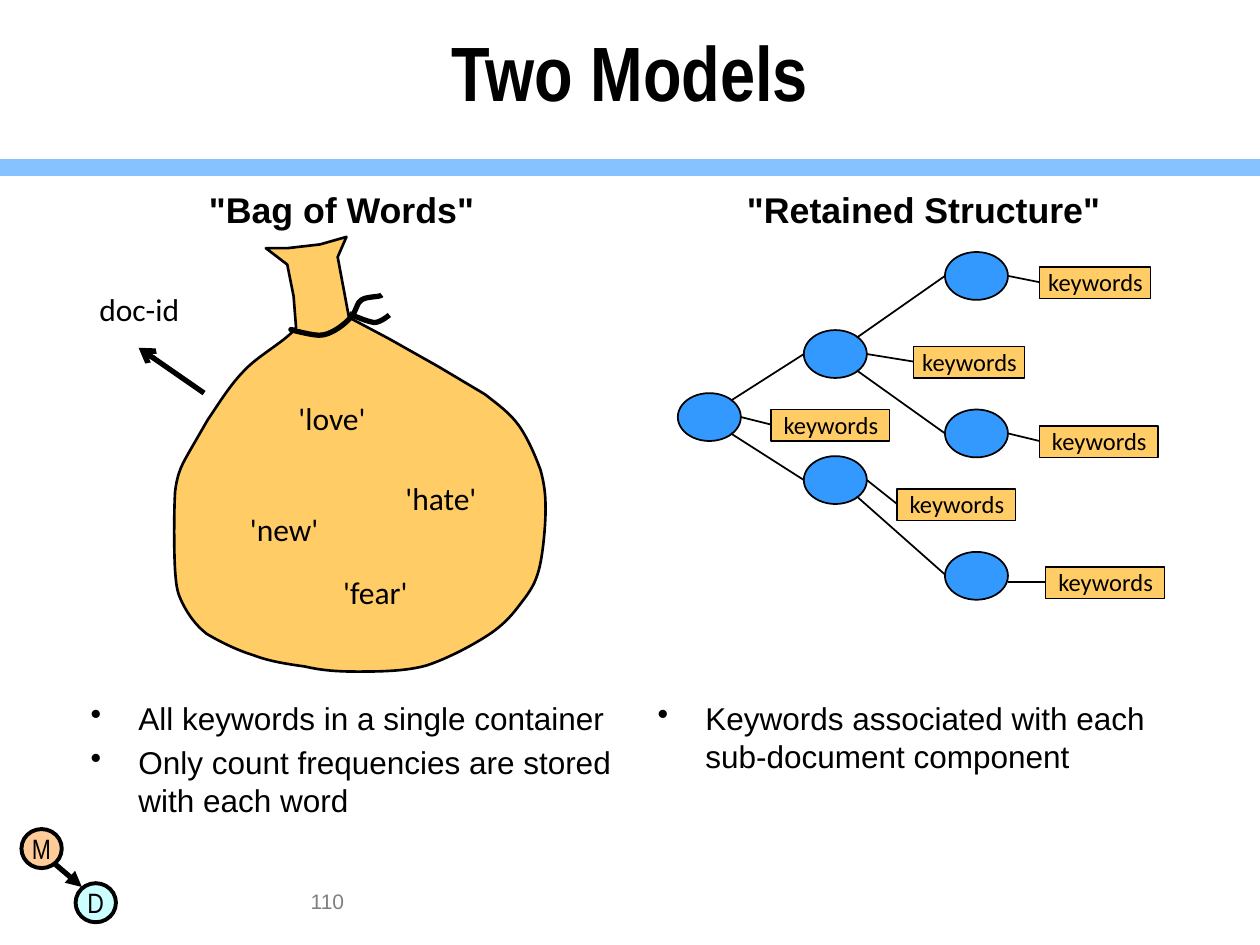
import dataclasses
import typing

import pptx
import pptx.dml.color
import pptx.enum.shapes
import pptx.enum.text
import pptx.oxml.ns
import pptx.util
from lxml import etree

ALIGN = pptx.enum.text.PP_ALIGN
ANCHOR = pptx.enum.text.MSO_ANCHOR
SHAPE = pptx.enum.shapes.MSO_SHAPE
Box = typing.Tuple[float, float, float, float]
Point = typing.Tuple[float, float]


@dataclasses.dataclass(frozen=True)
class Theme:
    ink: str = "000000"
    band: str = "85C2FF"
    node: str = "3399FF"
    bag: str = "FFCC66"
    model: str = "FFCC99"
    data: str = "CCFFFF"
    muted: str = "808080"
    title: float = 44
    heading: float = 20.4
    body: float = 18
    badge: float = 16
    tag: float = 14
    number: float = 12
    sans: str = "Arial"
    narrow: str = "Arial Narrow"
    label: str = "Calibri"


class Tag(typing.NamedTuple):
    left: float
    top: float
    width: float
    node_side: Point


class Word(typing.NamedTuple):
    text: str
    box: Box


THEME = Theme()
NODE_SIZE = (0.5, 0.38)
NODES = [(5.38, 3.12), (7.5, 2), (6.38, 2.62), (6.38, 3.62), (7.5, 3.25), (7.5, 4.38)]
BRANCHES = [
    ((5.8, 3.18), (6.38, 2.81)), ((5.8, 3.44), (6.38, 3.81)), ((6.8, 2.68), (7.5, 2.19)),
    ((6.8, 3.94), (7.5, 4.56)), ((6.8, 2.94), (7.5, 3.44)),
]
TAGS = [
    Tag(8.25, 2.12, 0.88, (8, 2.19)), Tag(8.25, 3.38, 0.94, (8, 3.44)),
    Tag(7.25, 2.75, 0.88, (6.88, 2.81)), Tag(6.12, 3.25, 0.94, (5.88, 3.31)),
    Tag(7.12, 3.88, 0.94, (6.88, 3.81)), Tag(8.3, 4.5, 0.94, (8, 4.62)),
]
WORDS = [
    Word("'love'", (2.19, 3.12, 0.89, 0.51)), Word("'hate'", (3.05, 3.75, 0.9, 0.51)),
    Word("'new'", (1.82, 4, 0.87, 0.51)), Word("'fear'", (2.56, 4.5, 0.84, 0.51)),
    Word("doc-id", (0.59, 2.25, 1.03, 0.51)),
]
BAG = [
    (2.28, 2.1), (2.33, 2.35), (2.35, 2.6), (2.28, 2.7, 2.05, 2.82, 1.94, 2.94),
    (1.82, 3.06, 1.72, 3.23, 1.65, 3.33), (1.5, 3.59), (1.45, 3.68, 1.41, 3.74, 1.39, 3.9),
    (1.38, 4.06, 1.38, 4.38, 1.39, 4.53), (1.4, 4.67, 1.41, 4.71, 1.45, 4.79),
    (1.49, 4.87, 1.55, 4.96, 1.64, 5.03), (1.74, 5.09, 1.88, 5.16, 2.01, 5.2),
    (2.14, 5.25, 2.28, 5.27, 2.42, 5.29), (2.55, 5.32, 2.67, 5.33, 2.83, 5.33),
    (2.99, 5.33, 3.22, 5.33, 3.39, 5.28), (3.57, 5.22, 3.77, 5.11, 3.89, 5.03),
    (4.02, 4.94, 4.08, 4.86, 4.14, 4.78), (4.21, 4.69, 4.25, 4.63, 4.28, 4.51),
    (4.31, 4.39, 4.33, 4.17, 4.33, 4.04), (4.33, 3.92, 4.32, 3.84, 4.29, 3.73),
    (4.25, 3.62, 4.19, 3.48, 4.12, 3.38), (4.04, 3.27, 3.95, 3.21, 3.85, 3.13),
    (3.48, 2.91), (3.09, 2.69), (2.77, 2.52), (2.68, 2.04), (2.75, 1.88), (2.54, 1.94),
    (2.28, 1.97), (2.11, 1.97), (2.28, 2.1),
]
STRING = [
    (2.33, 2.62), (2.33, 2.62, 2.29, 2.61, 2.32, 2.62), (2.36, 2.63, 2.48, 2.66, 2.53, 2.66),
    (2.59, 2.66, 2.62, 2.64, 2.66, 2.62), (2.71, 2.59, 2.76, 2.55, 2.79, 2.51),
    (2.83, 2.47, 2.83, 2.4, 2.87, 2.38), (2.91, 2.35, 3.02, 2.36, 3.03, 2.34),
]
STRING_END = [(2.77, 2.49), (2.84, 2.52, 2.91, 2.55, 2.97, 2.56), (3.02, 2.56, 3.09, 2.5, 3.09, 2.5)]


def length(inches: float) -> pptx.util.Length:
    """Turn slide inches into a metric length."""
    return pptx.util.Cm(inches * 2.54)


def colour(code: str) -> pptx.dml.color.RGBColor:
    """Read a hexadecimal colour."""
    return pptx.dml.color.RGBColor.from_string(code)


def paint(shape, fill: typing.Optional[str], width: float) -> None:
    """Set fill and outline, without a shadow."""
    shape.shadow.inherit = False
    if fill:
        shape.fill.solid()
        shape.fill.fore_color.rgb = colour(fill)
    else:
        shape.fill.background()
    shape.line.color.rgb = colour(THEME.ink)
    shape.line.width = pptx.util.Pt(width)


def write(shape, *texts: str, size: float, font: str, color: str = THEME.ink, bold: bool = False,
          align=ALIGN.CENTER, anchor=ANCHOR.TOP, wrap: bool = True, bullet: bool = False,
          insets: typing.Optional[Box] = None) -> None:
    """Write one paragraph per text into a shape."""
    frame = shape.text_frame
    frame.word_wrap = wrap
    frame.vertical_anchor = anchor
    if insets:
        frame.margin_left, frame.margin_top, frame.margin_right, frame.margin_bottom = map(length, insets)
    for index, text in enumerate(texts):
        para = frame.add_paragraph() if index else frame.paragraphs[0]
        para.alignment = align
        if index:
            para.space_before = pptx.util.Pt(size * 0.2)
        if bullet:
            properties = para._p.get_or_add_pPr()
            properties.set("marL", str(length(0.38)))
            properties.set("indent", str(-length(0.38)))
            etree.SubElement(properties, pptx.oxml.ns.qn("a:buChar")).set("char", "•")
        span = para.add_run()
        span.text = text
        span.font.size = pptx.util.Pt(size)
        span.font.name = font
        span.font.bold = bold
        span.font.color.rgb = colour(color)


def add_text(page, box: Box, *texts: str, **style) -> None:
    """Add a text box."""
    write(page.shapes.add_textbox(*map(length, box)), *texts, **style)


def add_preset(page, kind, box: Box, fill: str, width: float):
    """Add a painted preset shape."""
    shape = page.shapes.add_shape(kind, *map(length, box))
    paint(shape, fill, width)
    return shape


def add_line(page, start: Point, end: Point, width: float = 1, color: str = THEME.ink, head: str = "") -> None:
    """Add a straight connector, with an arrowhead at its end if named."""
    line = page.shapes.add_connector(pptx.enum.shapes.MSO_CONNECTOR.STRAIGHT, *map(length, start + end))
    line.line.color.rgb = colour(color)
    line.line.width = pptx.util.Pt(width)
    if head:
        etree.SubElement(line.line._get_or_add_ln(), pptx.oxml.ns.qn("a:tailEnd")).set("type", head)
    etree.SubElement(line._element.spPr, pptx.oxml.ns.qn("a:effectLst"))


def add_outline(page, steps, width: float, fill: typing.Optional[str] = None) -> None:
    """Draw a freeform of corners and cubic curves, closed when it is filled."""
    points = [tuple(map(length, step[at:at + 2])) for step in steps for at in range(0, len(step), 2)]
    builder = page.shapes.build_freeform(*points[0])
    builder.add_line_segments(points[1:], close=bool(fill))
    shape = builder.convert_to_shape()
    segments = iter(list(shape._element.iter(pptx.oxml.ns.qn("a:lnTo"))))
    for step in steps[1:]:
        segment = next(segments)
        if len(step) == 6:
            curve = etree.Element(pptx.oxml.ns.qn("a:cubicBezTo"))
            segment.addprevious(curve)
            for part in (segment, next(segments), next(segments)):
                curve.append(part[0])
                part.getparent().remove(part)
    paint(shape, fill, width)


def main() -> None:
    """Build the slide and save it."""
    deck = pptx.Presentation()
    deck.slide_width, deck.slide_height = length(10), length(7.5)
    page = deck.slides.add_slide(deck.slide_layouts[6])
    add_line(page, (0, 1.33), (10, 1.33), 10, THEME.band)
    for letter, left, top, fill in (("M", 0.17, 6.58, THEME.model), ("D", 0.6, 7.01, THEME.data)):
        badge = add_preset(page, SHAPE.OVAL, (left, top, 0.32, 0.31), fill, 2.25)
        write(badge, letter, size=THEME.badge, font=THEME.narrow, anchor=ANCHOR.MIDDLE, wrap=False)
    add_line(page, (0.44, 6.86), (0.65, 7.04), 3, head="triangle")
    add_text(page, (0.5, 0, 9, 1.12), "Two Models", size=THEME.title, font=THEME.narrow, bold=True,
             anchor=ANCHOR.MIDDLE)
    for left, heading in ((0.5, '"Bag of Words"'), (5.12, '"Retained Structure"')):
        add_text(page, (left, 1.5, 4.42, 0.38), heading, size=THEME.heading, font=THEME.sans, bold=True,
                 anchor=ANCHOR.BOTTOM)
    points = {"size": THEME.body, "font": THEME.sans, "align": ALIGN.LEFT, "bullet": True}
    add_text(page, (0.62, 5.5, 4.42, 1.88), "All keywords in a single container",
             "Only count frequencies are stored with each word", **points)
    add_text(page, (5.12, 5.5, 4.42, 0.95), "Keywords associated with each sub-document component", **points)
    add_text(page, (0.5, 6.95, 2.33, 0.4), "110", size=THEME.number, font=THEME.sans, color=THEME.muted,
             align=ALIGN.RIGHT, anchor=ANCHOR.MIDDLE)
    add_outline(page, BAG, 1.5, THEME.bag)
    for word in WORDS:
        add_text(page, word.box, word.text, size=THEME.body, font=THEME.label, wrap=False)
    for node in NODES:
        add_preset(page, SHAPE.OVAL, node + NODE_SIZE, THEME.node, 1)
    for start, end in BRANCHES:
        add_line(page, start, end)
    for tag in TAGS:
        label = add_preset(page, SHAPE.RECTANGLE, (tag.left, tag.top, tag.width, 0.25), THEME.bag, 0.75)
        write(label, "keywords", size=THEME.tag, font=THEME.label, insets=(0.01, 0, 0, 0.01))
        add_line(page, (tag.left, tag.top + 0.12), tag.node_side)
    add_outline(page, STRING, 3)
    add_outline(page, STRING_END, 3)
    add_line(page, (1.62, 3.12), (1.1, 2.76), 3, head="arrow")
    deck.save("out.pptx")


if __name__ == "__main__":
    main()
